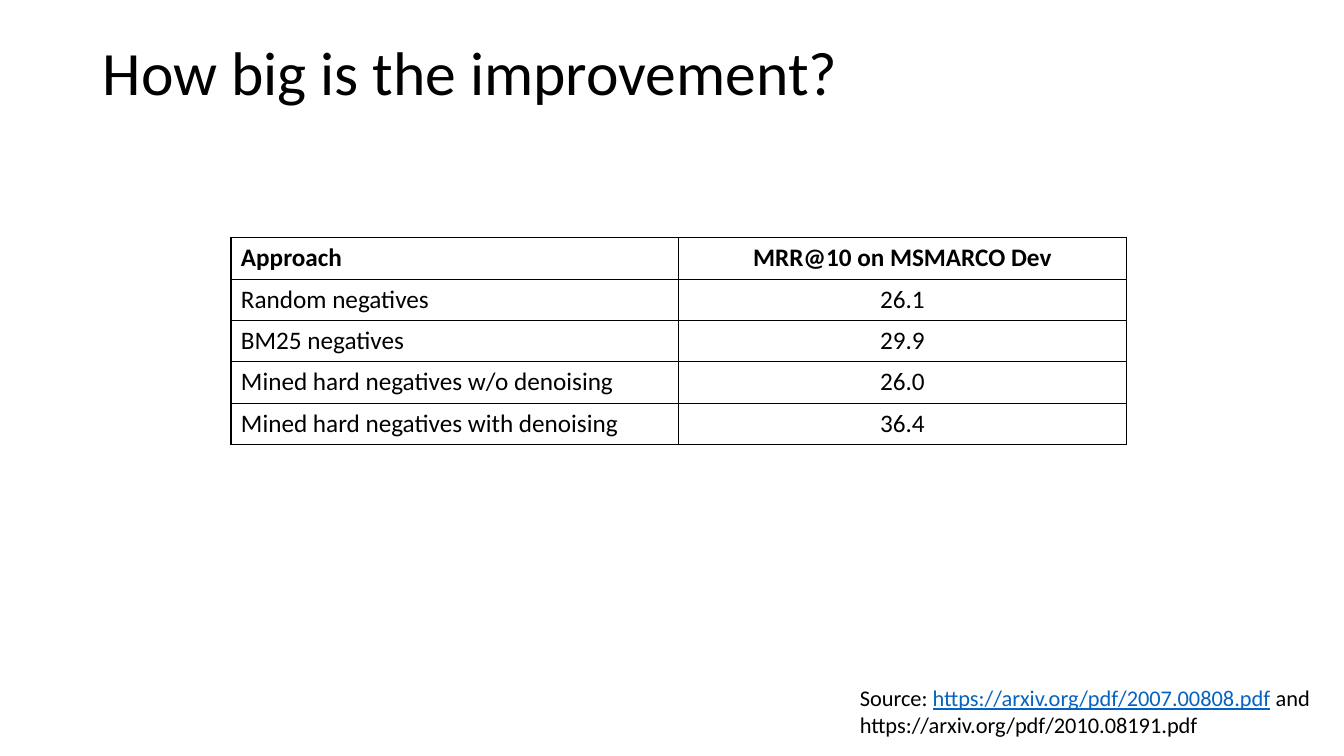
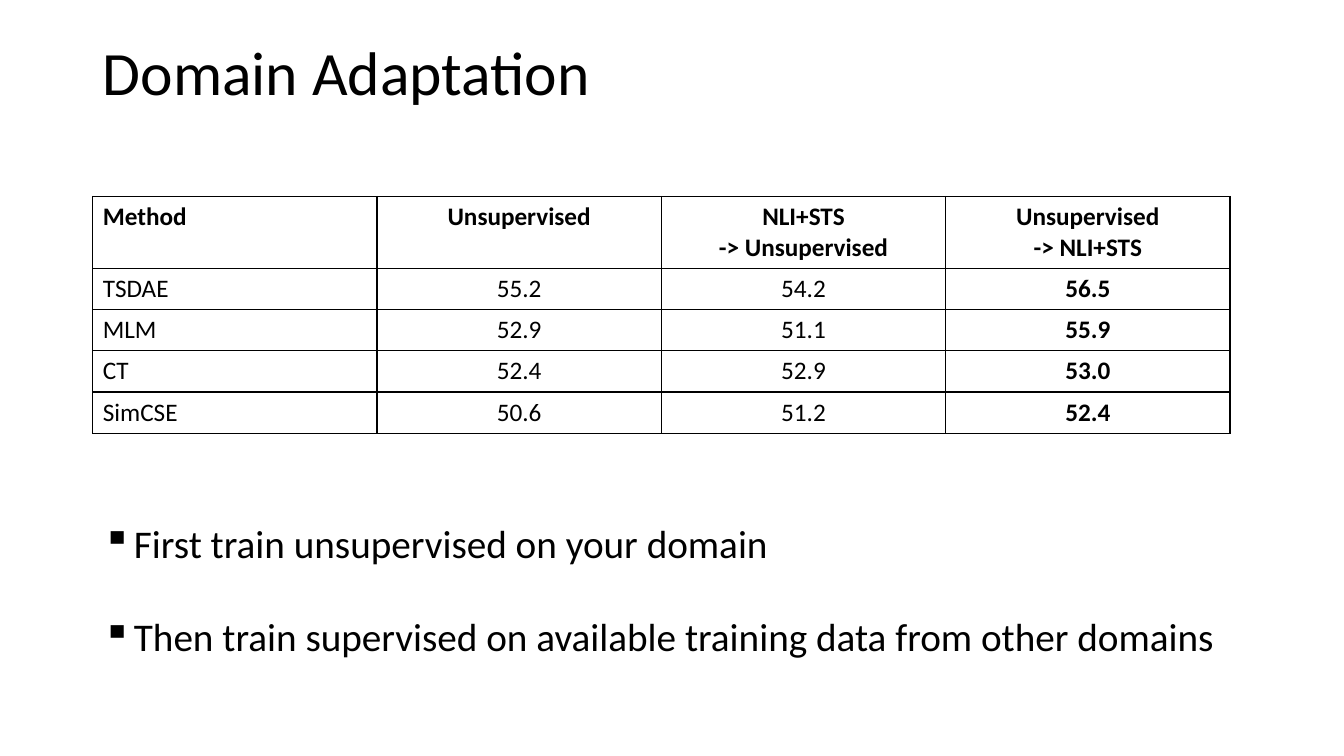
"""Build two slides on training results for dense retrieval and domain adaptation."""
import dataclasses

import lxml.etree
import pptx
import pptx.dml.color
import pptx.enum.text
import pptx.oxml.ns
import pptx.presentation
import pptx.shapes.autoshape
import pptx.slide
import pptx.table
import pptx.text.text
import pptx.util

Inches = pptx.util.Inches
Pt = pptx.util.Pt
Align = pptx.enum.text.PP_ALIGN
qn = pptx.oxml.ns.qn


@dataclasses.dataclass(frozen=True)
class Theme:
    font: str = "Calibri"
    text: str = "000000"
    link: str = "0563C1"
    title_size: float = 44
    bullet_size: float = 28
    table_size: float = 18
    source_size: float = 16
    bullet_gap: float = 33
    border: float = 1


@dataclasses.dataclass(frozen=True)
class Box:
    left: float
    top: float
    width: float
    height: float


@dataclasses.dataclass(frozen=True)
class Span:
    text: str
    link: bool = False


@dataclasses.dataclass(frozen=True)
class TableSpec:
    left: float
    top: float
    column_width: float
    header_height: float
    rows: list[list[str]]
    bold_column: int | None = None


THEME = Theme()
TITLE_BOX = Box(0.92, 0.02, 11.5, 1.45)
SOURCE_BOX = Box(8.43, 6.74, 4.84, 0.64)
BULLET_BOX = Box(0.92, 5.1, 11.7, 1.51)
ROW_HEIGHT = 0.41
BULLET_INDENT = 0.31

SOURCE = [
    Span("Source: "),
    Span("https://arxiv.org/pdf/2007.00808.pdf", link=True),
    Span(" and https://arxiv.org/pdf/2010.08191.pdf"),
]
IMPROVEMENT = TableSpec(2.29, 2.36, 4.44, ROW_HEIGHT, [
    ["Approach", "MRR@10 on MSMARCO Dev"],
    ["Random negatives", "26.1"],
    ["BM25 negatives", "29.9"],
    ["Mined hard negatives w/o denoising", "26.0"],
    ["Mined hard negatives with denoising", "36.4"],
])
ADAPTATION = TableSpec(0.92, 1.95, 2.82, 0.71, [
    ["Method", "Unsupervised", "NLI+STS\n-> Unsupervised", "Unsupervised\n-> NLI+STS"],
    ["TSDAE", "55.2", "54.2", "56.5"],
    ["MLM", "52.9", "51.1", "55.9"],
    ["CT", "52.4", "52.9", "53.0"],
    ["SimCSE", "50.6", "51.2", "52.4"],
], bold_column=3)
BULLETS = [
    "First train unsupervised on your domain",
    "Then train supervised on available training data from other domains",
]


def add_span(para: pptx.text.text._Paragraph, text: str, size: float,
             color: str = THEME.text, bold: bool = False, underline: bool = False) -> None:
    """Add text to a paragraph, with a line break at each newline."""
    for index, line in enumerate(text.split("\n")):
        if index:
            para.add_line_break()
        span = para.add_run()
        span.text = line
        span.font.name = THEME.font
        span.font.size = Pt(size)
        span.font.bold = bold
        span.font.underline = underline
        span.font.color.rgb = pptx.dml.color.RGBColor.from_string(color)


def add_box(page: pptx.slide.Slide, box: Box) -> pptx.text.text.TextFrame:
    """Add a wrapping text box and return its text frame."""
    shape = page.shapes.add_textbox(
        Inches(box.left), Inches(box.top), Inches(box.width), Inches(box.height))
    shape.text_frame.word_wrap = True
    return shape.text_frame


def add_page(deck: pptx.presentation.Presentation, title: str) -> pptx.slide.Slide:
    """Add a blank page with the shared title style."""
    page = deck.slides.add_slide(deck.slide_layouts[6])
    frame = add_box(page, TITLE_BOX)
    frame.vertical_anchor = pptx.enum.text.MSO_ANCHOR.MIDDLE
    para = frame.paragraphs[0]
    para.line_spacing = 0.9
    add_span(para, title, THEME.title_size)
    return page


def style_cell(cell: pptx.table._Cell) -> None:
    """Give a cell four plain borders and no fill."""
    properties = cell._tc.get_or_add_tcPr()
    for edge in ("a:lnL", "a:lnR", "a:lnT", "a:lnB"):
        line = lxml.etree.SubElement(properties, qn(edge), w=str(Pt(THEME.border)))
        fill = lxml.etree.SubElement(line, qn("a:solidFill"))
        lxml.etree.SubElement(fill, qn("a:srgbClr"), val=THEME.text)
    cell.fill.background()


def add_table(page: pptx.slide.Slide, spec: TableSpec) -> None:
    """Add a bordered table with a bold header row."""
    row_count, column_count = len(spec.rows), len(spec.rows[0])
    height = spec.header_height + ROW_HEIGHT * (row_count - 1)
    table = page.shapes.add_table(
        row_count, column_count, Inches(spec.left), Inches(spec.top),
        Inches(spec.column_width * column_count), Inches(height)).table
    table.first_row = False
    table.horz_banding = False
    for column in table.columns:
        column.width = Inches(spec.column_width)
    for row_index, values in enumerate(spec.rows):
        table.rows[row_index].height = Inches(ROW_HEIGHT if row_index else spec.header_height)
        for column_index, value in enumerate(values):
            cell = table.cell(row_index, column_index)
            style_cell(cell)
            para = cell.text_frame.paragraphs[0]
            para.alignment = Align.CENTER if column_index else Align.LEFT
            bold = row_index == 0 or column_index == spec.bold_column
            add_span(para, value, THEME.table_size, bold=bold)


def add_source(page: pptx.slide.Slide, spans: list[Span]) -> None:
    """Add the source line at the bottom right."""
    para = add_box(page, SOURCE_BOX).paragraphs[0]
    for span in spans:
        color = THEME.link if span.link else THEME.text
        add_span(para, span.text, THEME.source_size, color, underline=span.link)


def add_bullets(page: pptx.slide.Slide, items: list[str]) -> None:
    """Add a list with square bullets and wide gaps."""
    frame = add_box(page, BULLET_BOX)
    for index, item in enumerate(items):
        para = frame.add_paragraph() if index else frame.paragraphs[0]
        properties = para._p.get_or_add_pPr()
        properties.set("marL", str(Inches(BULLET_INDENT)))
        properties.set("indent", str(-Inches(BULLET_INDENT)))
        lxml.etree.SubElement(properties, qn("a:buChar"), char="▪")
        if index:
            para.space_before = Pt(THEME.bullet_gap)
        add_span(para, item, THEME.bullet_size)


def main() -> None:
    """Build and save the deck."""
    deck = pptx.Presentation()
    deck.slide_width = Inches(13.33)
    deck.slide_height = Inches(7.5)

    improvement = add_page(deck, "How big is the improvement?")
    add_source(improvement, SOURCE)
    add_table(improvement, IMPROVEMENT)

    adaptation = add_page(deck, "Domain Adaptation")
    add_table(adaptation, ADAPTATION)
    add_bullets(adaptation, BULLETS)

    deck.save("out.pptx")


if __name__ == "__main__":
    main()
